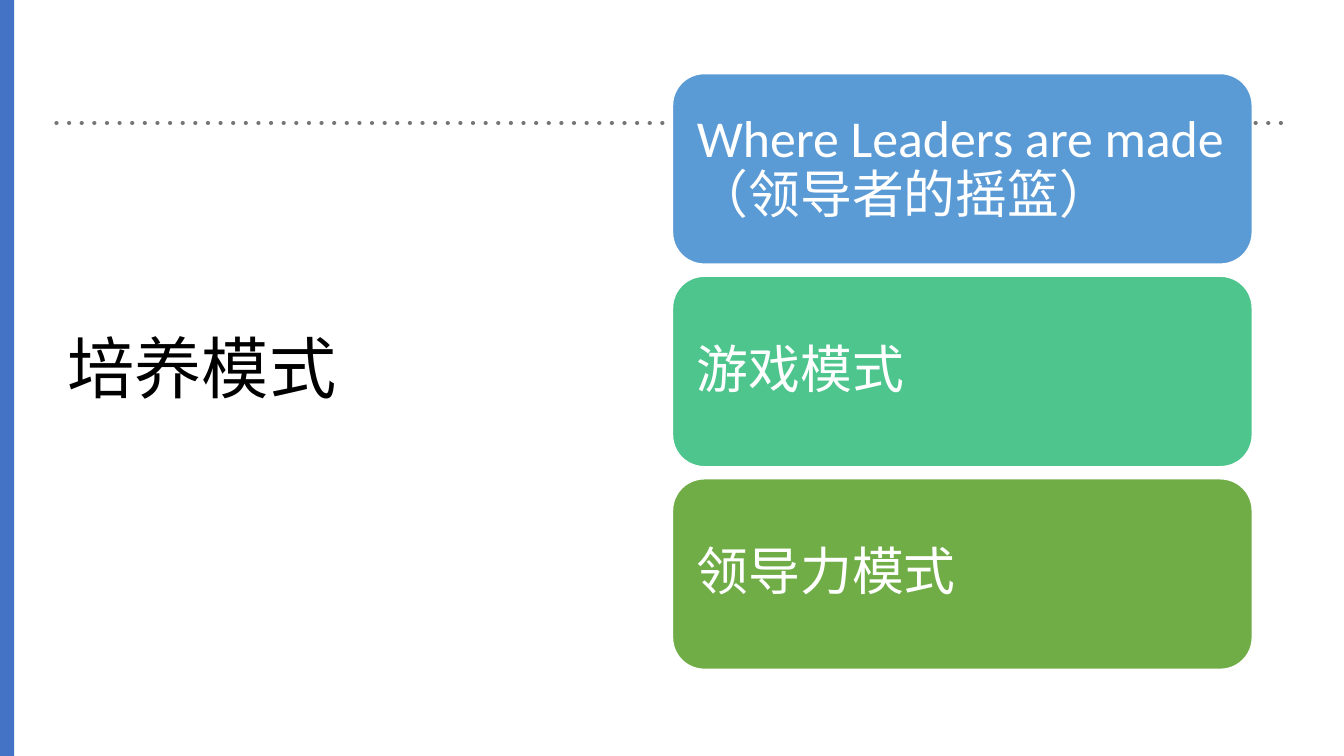
import pptx
import pptx.util
import pptx.dml.color
import pptx.enum.shapes
import pptx.enum.text
import pptx.oxml.ns
from lxml import etree

Inches = pptx.util.Inches
Pt = pptx.util.Pt
SHAPES = pptx.enum.shapes.MSO_SHAPE

COLOURS = {
    "text": "000000",
    "white": "FFFFFF",
    "rule": "747676",
    "bar": "4472C4",
    "blue": "5B9BD5",
    "teal": "4DC58D",
    "green": "70AD47",
}
MODES = [
    ("Where Leaders are made （领导者的摇篮）", "blue"),
    ("游戏模式", "teal"),
    ("领导力模式", "green"),
]
CARD_TOP = 0.73
CARD_PITCH = 2.01


def colour(name):
    return pptx.dml.color.RGBColor.from_string(COLOURS[name])


def set_values(target, values):
    for name, value in values.items():
        setattr(target, name, value)


def write_text(box, text, size, ink, inset_x, inset_y):
    frame = box.text_frame
    set_values(frame, {
        "word_wrap": True,
        "auto_size": pptx.enum.text.MSO_AUTO_SIZE.NONE,
        "vertical_anchor": pptx.enum.text.MSO_ANCHOR.MIDDLE,
        "margin_left": Inches(inset_x),
        "margin_right": Inches(inset_x),
        "margin_top": Inches(inset_y),
        "margin_bottom": Inches(inset_y),
    })
    para = frame.paragraphs[0]
    set_values(para, {"alignment": pptx.enum.text.PP_ALIGN.LEFT, "line_spacing": 0.9})
    span = para.add_run()
    span.text = text
    set_values(span.font, {"name": "Calibri", "size": Pt(size)})
    span.font.color.rgb = colour(ink)


def add_block(page, kind, place, fill):
    block = page.shapes.add_shape(kind, *map(Inches, place))
    block.shadow.inherit = False
    block.fill.solid()
    block.fill.fore_color.rgb = colour(fill)
    block.line.fill.background()
    return block


def add_card(page, text, fill, top):
    card = add_block(page, SHAPES.ROUNDED_RECTANGLE, (6.67, top, 5.75, 1.89), fill)
    card.line.color.rgb = colour("white")
    card.line.width = Pt(1)
    write_text(card, text, 37, "white", 0.15, 0.15)


def add_dotted_rule(page):
    rule = page.shapes.add_connector(
        pptx.enum.shapes.MSO_CONNECTOR.STRAIGHT,
        Inches(0.56), Inches(1.22), Inches(12.78), Inches(1.22))
    rule.line.color.rgb = colour("rule")
    rule.line.width = Pt(3)
    qn = pptx.oxml.ns.qn
    properties = rule.element.spPr
    outline = properties.find(qn("a:ln"))
    outline.set("cap", "rnd")
    dashes = etree.SubElement(outline, qn("a:custDash"))
    etree.SubElement(dashes, qn("a:ds"), d="100000", sp="200000")
    etree.SubElement(properties, qn("a:effectLst"))


def add_title(page, text):
    title = page.shapes.title
    set_values(title, {
        "left": Inches(0.57), "top": Inches(0.68),
        "width": Inches(5.67), "height": Inches(6.02),
    })
    write_text(title, text, 48, "text", 0.1, 0.05)


def main():
    deck = pptx.Presentation()
    set_values(deck, {"slide_width": Inches(13.33), "slide_height": Inches(7.5)})
    page = deck.slides.add_slide(deck.slide_layouts[5])
    add_dotted_rule(page)
    add_title(page, "培养模式")
    add_block(page, SHAPES.RECTANGLE, (0, 0, 0.14, 7.5), "bar")
    for index, (text, fill) in enumerate(MODES):
        add_card(page, text, fill, CARD_TOP + index * CARD_PITCH)
    deck.save("out.pptx")


if __name__ == "__main__":
    main()
